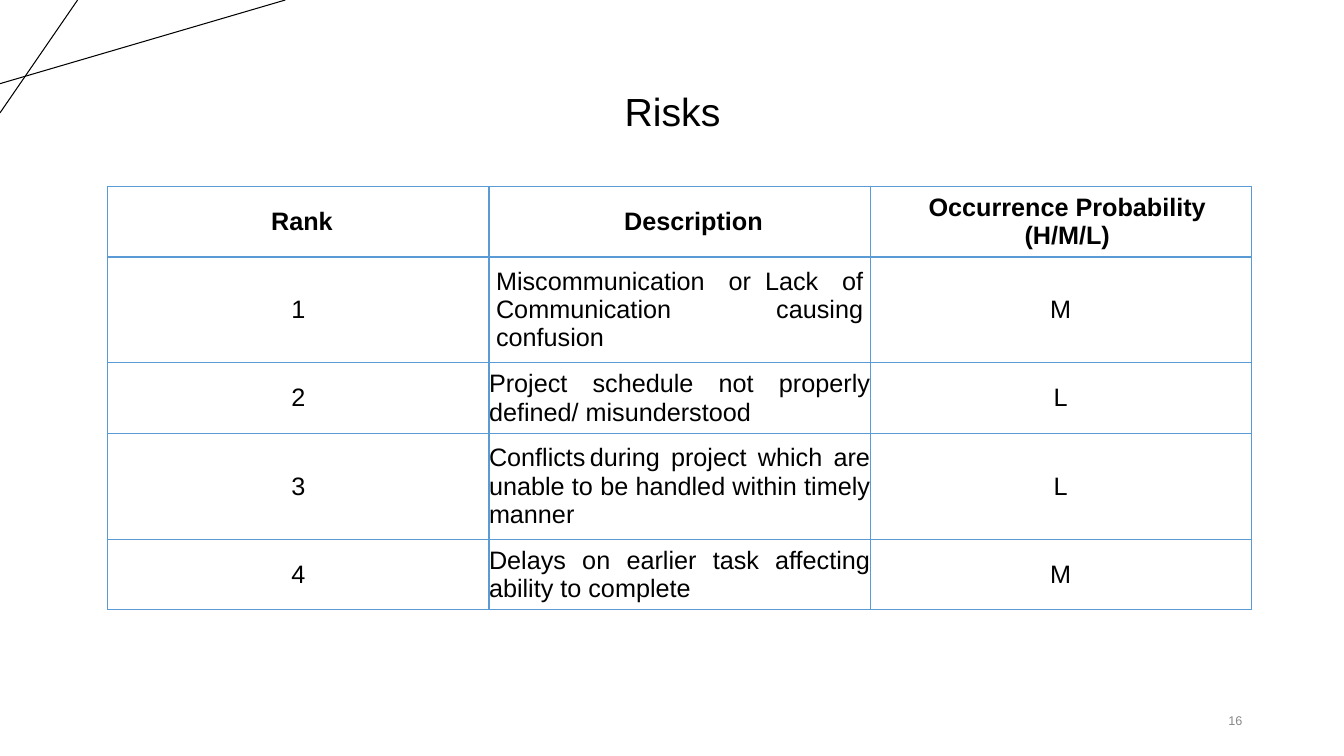
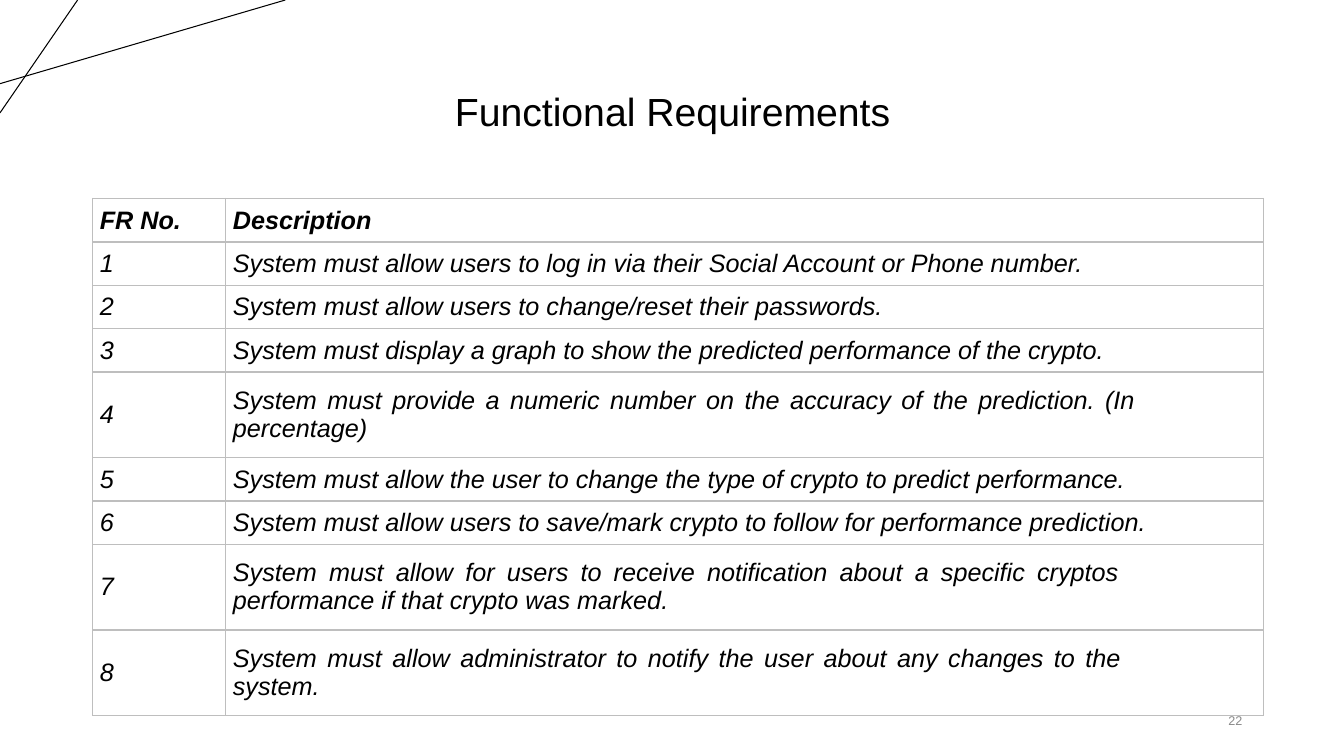
from lxml.etree import SubElement
from pptx import Presentation
from pptx.dml.color import RGBColor
from pptx.enum.shapes import MSO_CONNECTOR
from pptx.enum.text import MSO_ANCHOR, PP_ALIGN
from pptx.oxml import parse_xml
from pptx.oxml.ns import nsdecls, qn
from pptx.util import Pt

PX = 9144  # EMU per px, 100 px to the inch
FONT = "Arial"
BLACK, GREY, BLUE, SILVER = "000000", "888888", "5B9BD5", "BEBEBE"
TITLE_ONLY = 5
TITLE_BOX = (92, 40, 1150, 145)
NUMBER_BOX = (942, 695, 300, 40)
CORNER_LINES = [(0, 83, 283, 0), (77, 0, 0, 112)]

RISKS = [
    ("1", "Miscommunication or\tLack of Communication causing confusion", "M"),
    ("2", "Project schedule not properly defined/ misunderstood", "L"),
    ("3", "Conflicts\tduring project which are unable to be handled within timely manner", "L"),
    ("4", "Delays on earlier task affecting ability to complete", "M"),
]
# Requirement text, with the right margin in px where it runs to two lines
REQUIREMENTS = [
    ("System must allow users to log in via their Social Account or Phone number.", 0),
    ("System must allow users to change/reset their passwords.", 0),
    ("System must display a graph to show the predicted performance of the crypto.", 0),
    ("System must provide a numeric number on the accuracy of the prediction. (In percentage)", 127),
    ("System must allow the user to change the type of crypto to predict performance.", 0),
    ("System must allow users to save/mark crypto to follow for performance prediction.", 0),
    ("System must allow for users to receive notification about a specific cryptos "
     "performance if that crypto was marked.", 143),
    ("System must allow administrator to notify the user about any changes to the system.", 141),
]


def px(*lengths):
    return [round(length * PX) for length in lengths]


def colour(hex_code):
    return RGBColor.from_string(hex_code)


def style(paragraph, size, hex_code=BLACK, align=PP_ALIGN.LEFT, bold=False, italic=False):
    paragraph.alignment = align
    for run in paragraph.runs:
        font = run.font
        font.name, font.size, font.bold, font.italic = FONT, Pt(size), bold, italic
        font.color.rgb = colour(hex_code)


# Shared frame: corner lines, title, slide number
def add_frame(prs, title_text, number):
    slide = prs.slides.add_slide(prs.slide_layouts[TITLE_ONLY])
    for ends in CORNER_LINES:
        corner = slide.shapes.add_connector(MSO_CONNECTOR.STRAIGHT, *px(*ends))
        corner.line.color.rgb = colour(BLACK)
        corner.line.width = Pt(0.75)
        SubElement(corner._element.spPr, qn("a:effectLst"))

    title = slide.shapes.title
    title.left, title.top, title.width, title.height = px(*TITLE_BOX)
    title.text_frame.text = title_text
    title.text_frame.vertical_anchor = MSO_ANCHOR.MIDDLE
    heading = title.text_frame.paragraphs[0]
    heading.line_spacing = 0.9
    style(heading, 28, align=PP_ALIGN.CENTER)

    page = slide.shapes.add_textbox(*px(*NUMBER_BOX)).text_frame
    page.word_wrap = True
    page.vertical_anchor = MSO_ANCHOR.MIDDLE
    page.text = str(number)
    style(page.paragraphs[0], 9, GREY, PP_ALIGN.RIGHT)
    return slide


# Table with one border colour and no fill
def add_grid(slide, left, top, columns, rows, border):
    box = px(left, top, sum(columns), sum(rows))
    table = slide.shapes.add_table(len(rows), len(columns), *box).table
    table.first_row = table.horz_banding = False
    for column, width in zip(table.columns, px(*columns)):
        column.width = width
    for row, height in zip(table.rows, px(*rows)):
        row.height = height
    for cell in table.iter_cells():
        cell.fill.background()
        properties = cell._tc.get_or_add_tcPr()
        for index, side in enumerate(("lnL", "lnR", "lnT", "lnB")):
            properties.insert(index, parse_xml(
                f'<a:{side} {nsdecls("a")} w="{Pt(1)}"><a:solidFill>'
                f'<a:srgbClr val="{border}"/></a:solidFill></a:{side}>'))
    return table


def fill_cell(cell, text, indent=0, right=0, **look):
    cell.margin_left = cell.margin_top = cell.margin_bottom = 0
    cell.margin_right = px(right)[0]
    cell.vertical_anchor = MSO_ANCHOR.MIDDLE
    cell.text_frame.text = text
    for paragraph in cell.text_frame.paragraphs:
        properties = paragraph._p.get_or_add_pPr()
        properties.set("marL", str(px(indent)[0]))
        properties.set("indent", "0")
        style(paragraph, 18, **look)


def add_risk_table(slide, left, top):
    table = add_grid(slide, left, top, [378] * 3, [70, 105, 70, 105, 70], BLUE)
    center, justify = PP_ALIGN.CENTER, PP_ALIGN.JUSTIFY
    fill_cell(table.cell(0, 0), "Rank", 7, align=center, bold=True)
    fill_cell(table.cell(0, 1), "Description", 134, bold=True)
    fill_cell(table.cell(0, 2), "Occurrence Probability\n(H/M/L)", 13, align=center, bold=True)
    for row, (rank, description, probability) in enumerate(RISKS, 1):
        inset = 7 if row == 1 else 0
        fill_cell(table.cell(row, 0), rank, align=center)
        fill_cell(table.cell(row, 1), description, inset, inset, align=justify)
        fill_cell(table.cell(row, 2), probability, align=center)


def add_requirement_table(slide, left, top):
    heights = [43] + [85 if right else 43 for _, right in REQUIREMENTS]
    table = add_grid(slide, left, top, [132, 1029], heights, SILVER)
    for column, label in enumerate(("FR No.", "Description")):
        fill_cell(table.cell(0, column), label, 7, bold=True, italic=True)
    for row, (requirement, right) in enumerate(REQUIREMENTS, 1):
        align = PP_ALIGN.JUSTIFY if right else PP_ALIGN.LEFT
        fill_cell(table.cell(row, 0), str(row), 7, italic=True)
        fill_cell(table.cell(row, 1), requirement, 7, right, align=align, italic=True)


def main():
    prs = Presentation()
    prs.slide_width, prs.slide_height = px(1333, 750)
    add_risk_table(add_frame(prs, "Risks", 16), 107, 185)
    add_requirement_table(add_frame(prs, "Functional Requirements", 22), 92, 197)
    prs.save("out.pptx")


if __name__ == "__main__":
    main()
